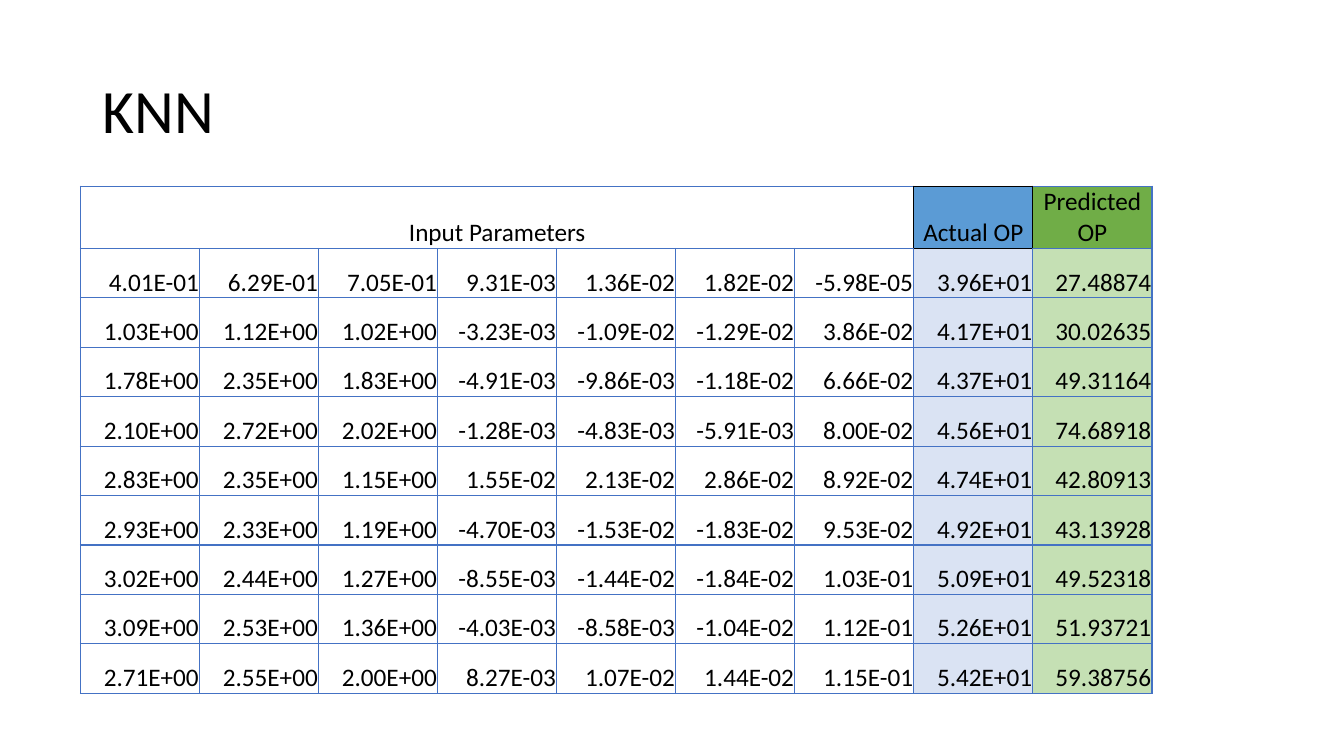
from dataclasses import dataclass

from lxml import etree
from pptx import Presentation
from pptx.dml.color import RGBColor
from pptx.enum.text import MSO_ANCHOR, PP_ALIGN
from pptx.oxml.ns import qn
from pptx.slide import Slide
from pptx.table import _Cell
from pptx.util import Cm, Pt

MIDDLE, BOTTOM = MSO_ANCHOR.MIDDLE, MSO_ANCHOR.BOTTOM
LEFT, CENTER, RIGHT = PP_ALIGN.LEFT, PP_ALIGN.CENTER, PP_ALIGN.RIGHT

FONT = "Calibri"
COLORS = {
    "text": "000000",
    "grid": "4472C4",
    "actual_head": "5B9BD5",
    "actual": "DAE3F3",
    "predicted_head": "70AD47",
    "predicted": "C5E0B4",
}
SIDES = ("L", "R", "T", "B")
HEADER_HEIGHT, ROW_HEIGHT, COLUMN_WIDTH = Cm(1.22), Cm(1.245), Cm(3)


@dataclass(frozen=True)
class Column:
    header: str = ""
    header_fill: str | None = None
    fill: str | None = None


INPUT_COUNT = 7
COLUMNS = [
    Column("Input Parameters"),
    *[Column()] * (INPUT_COUNT - 1),
    Column("Actual OP", "actual_head", "actual"),
    Column("Predicted OP", "predicted_head", "predicted"),
]
RESULTS = """
4.01E-01 6.29E-01 7.05E-01 9.31E-03 1.36E-02 1.82E-02 -5.98E-05 3.96E+01 27.48874
1.03E+00 1.12E+00 1.02E+00 -3.23E-03 -1.09E-02 -1.29E-02 3.86E-02 4.17E+01 30.02635
1.78E+00 2.35E+00 1.83E+00 -4.91E-03 -9.86E-03 -1.18E-02 6.66E-02 4.37E+01 49.31164
2.10E+00 2.72E+00 2.02E+00 -1.28E-03 -4.83E-03 -5.91E-03 8.00E-02 4.56E+01 74.68918
2.83E+00 2.35E+00 1.15E+00 1.55E-02 2.13E-02 2.86E-02 8.92E-02 4.74E+01 42.80913
2.93E+00 2.33E+00 1.19E+00 -4.70E-03 -1.53E-02 -1.83E-02 9.53E-02 4.92E+01 43.13928
3.02E+00 2.44E+00 1.27E+00 -8.55E-03 -1.44E-02 -1.84E-02 1.03E-01 5.09E+01 49.52318
3.09E+00 2.53E+00 1.36E+00 -4.03E-03 -8.58E-03 -1.04E-02 1.12E-01 5.26E+01 51.93721
2.71E+00 2.55E+00 2.00E+00 8.27E-03 1.07E-02 1.44E-02 1.15E-01 5.42E+01 59.38756
"""
ROWS = [line.split() for line in RESULTS.strip().splitlines()]
BLACK_SIDES = {
    (0, 0): "R",
    (0, INPUT_COUNT - 1): "R",
    (0, INPUT_COUNT): "LRTB",
    (0, INPUT_COUNT + 1): "L",
    (1, INPUT_COUNT): "T",
}


def add_borders(cell: _Cell, black_sides: str) -> None:
    tc_pr = cell._tc.get_or_add_tcPr()
    for side in SIDES:
        color = COLORS["text" if side in black_sides else "grid"]
        ln = etree.SubElement(tc_pr, qn(f"a:ln{side}"), w=str(Pt(1)))
        fill = etree.SubElement(ln, qn("a:solidFill"))
        etree.SubElement(fill, qn("a:srgbClr"), val=color)


def format_cell(cell: _Cell, text: str, align: PP_ALIGN, fill: str | None, black_sides: str) -> None:
    cell.margin_left = cell.margin_right = cell.margin_top = Cm(0.02)
    cell.margin_bottom = 0
    cell.vertical_anchor = BOTTOM
    add_borders(cell, black_sides)
    if fill:
        cell.fill.solid()
        cell.fill.fore_color.rgb = RGBColor.from_string(COLORS[fill])
    else:
        cell.fill.background()
    cell.text = text
    p = cell.text_frame.paragraphs[0]
    p.alignment = align
    p.font.name, p.font.size = FONT, Pt(18)
    p.font.color.rgb = RGBColor.from_string(COLORS["text"])


def add_title(s: Slide, text: str) -> None:
    sp = s.shapes.title
    sp.left, sp.top, sp.width, sp.height = Cm(2.33), Cm(1.01), Cm(29.21), Cm(3.68)
    tf = sp.text_frame
    tf.text = text
    tf.vertical_anchor = MIDDLE
    p = tf.paragraphs[0]
    p.alignment, p.line_spacing = LEFT, 0.9
    p.font.name, p.font.size = FONT, Pt(44)
    p.font.color.rgb = RGBColor.from_string(COLORS["text"])


def add_results(s: Slide) -> None:
    frame = s.shapes.add_table(
        len(ROWS) + 1, len(COLUMNS), Cm(2.03), Cm(4.69),
        COLUMN_WIDTH * len(COLUMNS), HEADER_HEIGHT + ROW_HEIGHT * len(ROWS),
    )
    table = frame.table
    table.first_row = table.horz_banding = False
    for column in table.columns:
        column.width = COLUMN_WIDTH
    for i, row in enumerate(table.rows):
        row.height = ROW_HEIGHT if i else HEADER_HEIGHT
        for j, column in enumerate(COLUMNS):
            text = ROWS[i - 1][j] if i else column.header
            fill = column.fill if i else column.header_fill
            align = RIGHT if i else CENTER
            format_cell(table.cell(i, j), text, align, fill, BLACK_SIDES.get((i, j), ""))
    table.cell(0, 0).merge(table.cell(0, INPUT_COUNT - 1))


def main() -> None:
    prs = Presentation()
    prs.slide_width, prs.slide_height = Cm(33.87), Cm(19.05)
    s = prs.slides.add_slide(prs.slide_layouts[5])
    add_title(s, "KNN")
    add_results(s)
    prs.save("out.pptx")


if __name__ == "__main__":
    main()
